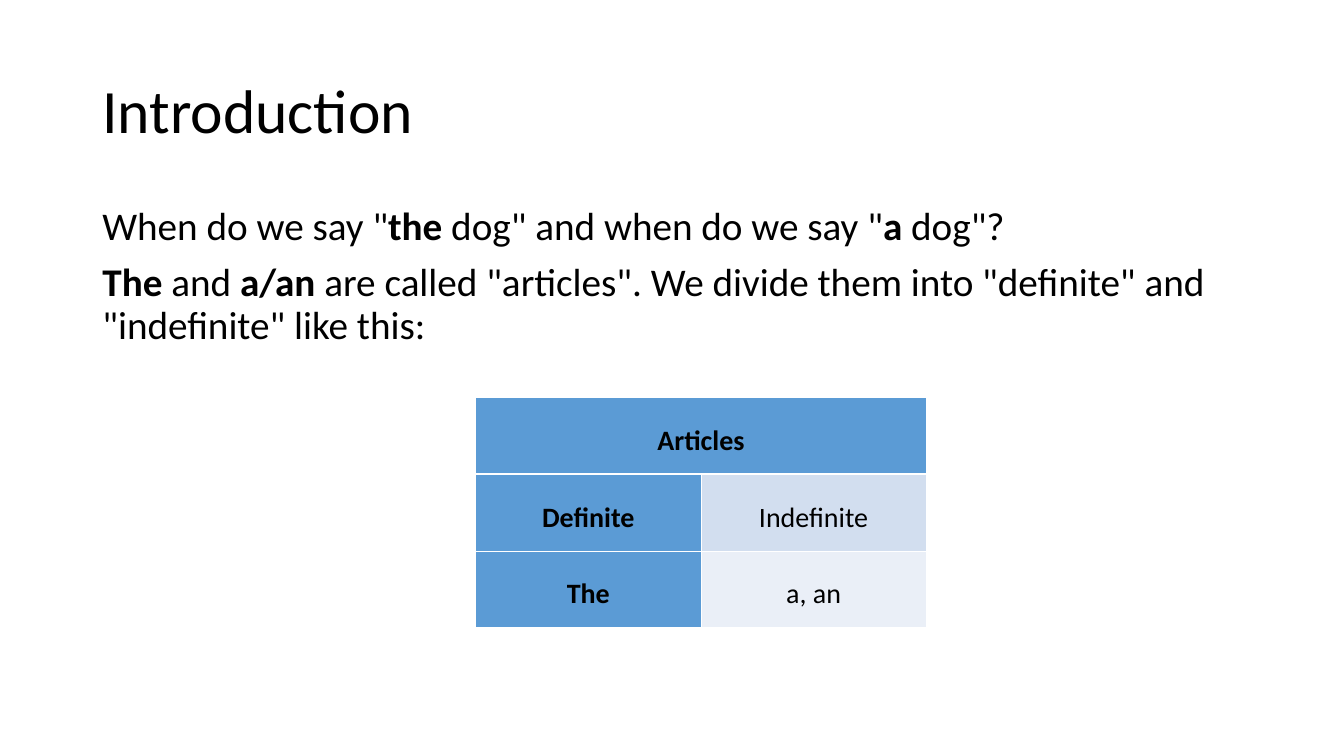
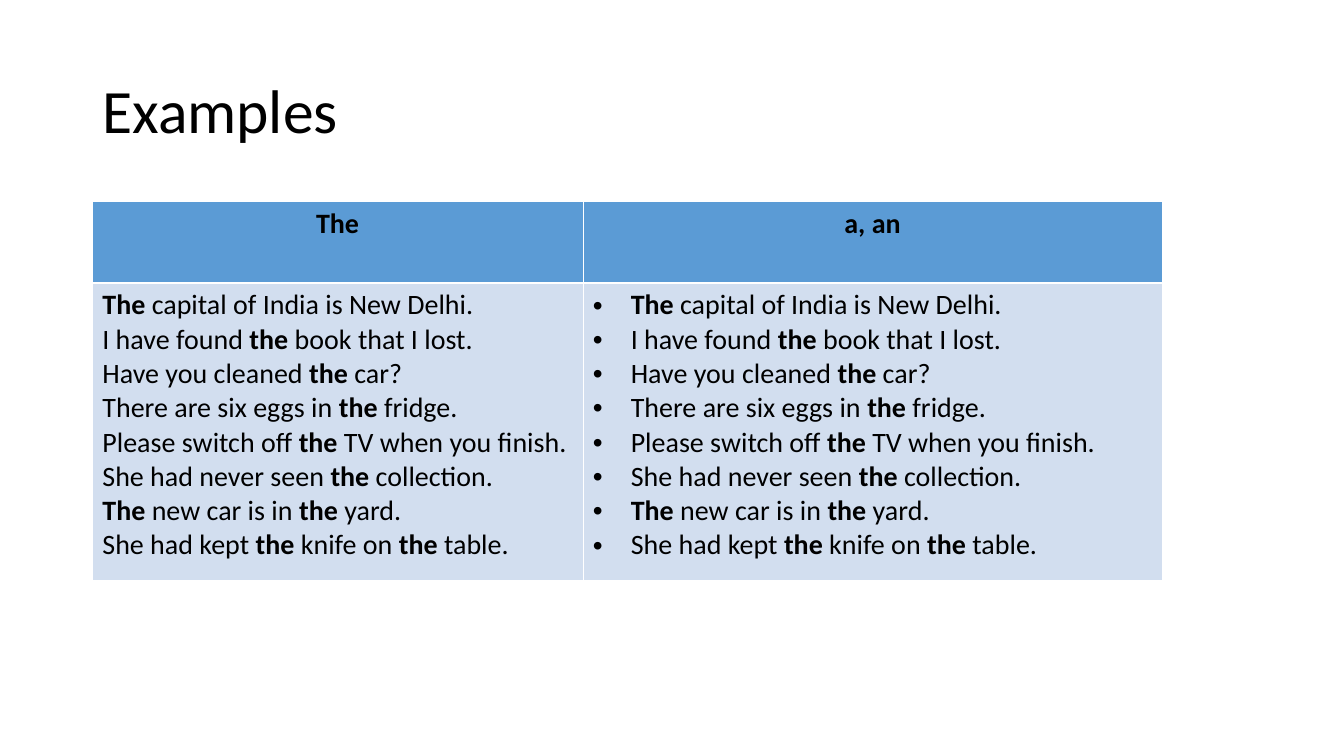
from lxml.etree import SubElement
from pptx import Presentation
from pptx.dml.color import RGBColor
from pptx.enum.text import MSO_ANCHOR as Anchor, MSO_AUTO_SIZE as AutoSize, PP_ALIGN as Align
from pptx.oxml import parse_xml
from pptx.oxml.ns import nsdecls, qn
from pptx.util import Pt

BLACK = RGBColor(0x00, 0x00, 0x00)
WHITE = RGBColor(0xFF, 0xFF, 0xFF)
HEADER_BLUE = RGBColor(0x5B, 0x9B, 0xD5)
MID_BLUE = RGBColor(0xD2, 0xDE, 0xEF)
PALE_BLUE = RGBColor(0xEA, 0xEF, 0xF7)

FONT = "Calibri"
PAGE_SIZE = (960.5, 540)
TITLE_BOX = (66, 28.8, 828, 104.4)
BODY_BOX = (66, 144, 828, 342.7)
ARTICLES_BOX = (340, 284, 322, 164.2)
EXAMPLES_BOX = (66, 144, 764.6, 270.7)
THIN, THICK = 0.45, 1.47
BULLET_INDENT = 27

SENTENCES = [
    "*The* capital of India is New Delhi.",
    "I have found *the* book that I lost.",
    "Have you cleaned *the* car?",
    "There are six eggs in *the* fridge.",
    "Please switch off *the* TV when you finish.",
    "She had never seen *the* collection.",
    "*The* new car is in *the* yard.",
    "She had kept *the* knife on *the* table.",
]


def set_bullet(para, bullet):
    props = para._p.get_or_add_pPr()
    indent = Pt(BULLET_INDENT) if bullet else 0
    props.set("marL", str(indent))
    props.set("indent", str(-indent))
    if bullet:
        color = SubElement(SubElement(props, qn("a:buClr")), qn("a:srgbClr"))
        color.set("val", str(BLACK))
        SubElement(props, qn("a:buFont")).set("typeface", "Arial")
        SubElement(props, qn("a:buChar")).set("char", bullet)
    else:
        SubElement(props, qn("a:buNone"))


def write_text(frame, lines, size=20, align=Align.LEFT, spacing=1.0, gap=0, bullet=None):
    """Write lines into a frame; asterisks enclose bold words."""
    frame.word_wrap = True
    for index, line in enumerate(lines):
        para = frame.add_paragraph() if index else frame.paragraphs[0]
        set_bullet(para, bullet)
        para.alignment = align
        para.line_spacing = spacing
        para.space_before = Pt(gap if index else 0)
        for order, words in enumerate(line.split("*")):
            if words:
                span = para.add_run()
                span.text = words
                span.font.name = FONT
                span.font.size = Pt(size)
                span.font.bold = order % 2 == 1
                span.font.color.rgb = BLACK


def fill_placeholder(holder, box, lines, anchor, **style):
    holder.left, holder.top, holder.width, holder.height = map(Pt, box)
    frame = holder.text_frame
    frame.auto_size = AutoSize.NONE
    frame.vertical_anchor = anchor
    write_text(frame, lines, spacing=0.9, **style)


def add_page(deck, layout_name, title):
    page = deck.slides.add_slide(deck.slide_layouts.get_by_name(layout_name))
    fill_placeholder(page.shapes.title, TITLE_BOX, [title], Anchor.MIDDLE, size=44)
    return page


def set_borders(cell, top, bottom):
    props = cell._tc.get_or_add_tcPr()
    sides = {"L": THIN, "R": THIN, "T": top, "B": bottom}
    for position, (side, width) in enumerate(sides.items()):
        props.insert(position, parse_xml(
            f'<a:ln{side} {nsdecls("a")} w="{Pt(width)}"><a:solidFill>'
            f'<a:srgbClr val="{WHITE}"/></a:solidFill></a:ln{side}>'))


def add_grid(page, box, columns, rows):
    left, top, width, height = map(Pt, box)
    grid = page.shapes.add_table(len(rows), len(columns), left, top, width, height).table
    grid.first_row = grid.horz_banding = False
    for column, size in zip(grid.columns, columns):
        column.width = Pt(size)
    for row, size in zip(grid.rows, rows):
        row.height = Pt(size)
    return grid


def format_cell(grid, row, column, lines, fill, margin_x, anchor, **style):
    cell = grid.cell(row, column)
    cell.fill.solid()
    cell.fill.fore_color.rgb = fill
    set_borders(cell, THICK if row == 1 else THIN, THICK if row == 0 else THIN)
    cell.margin_left = cell.margin_right = Pt(margin_x)
    cell.margin_top = cell.margin_bottom = Pt(3.6)
    cell.vertical_anchor = anchor
    write_text(cell.text_frame, lines, **style)


def add_articles_table(page, box):
    width, height = box[2:]
    grid = add_grid(page, box, [width / 2] * 2, [height / 3] * 3)
    grid.cell(0, 0).merge(grid.cell(0, 1))
    cells = [
        (0, 0, "*Articles*", HEADER_BLUE),
        (1, 0, "*Definite*", HEADER_BLUE),
        (1, 1, "Indefinite", MID_BLUE),
        (2, 0, "*The*", HEADER_BLUE),
        (2, 1, "a, an", PALE_BLUE),
    ]
    for row, column, words, fill in cells:
        format_cell(grid, row, column, [words], fill, 3.6, Anchor.MIDDLE,
                    align=Align.CENTER, spacing=1.3)


def add_examples_table(page, box):
    width, height = box[2:]
    first_width, header_height = 350.6, 58.3
    grid = add_grid(page, box, [first_width, width - first_width],
                    [header_height, height - header_height])
    for column, (heading, bullet) in enumerate([("*The*", None), ("*a, an*", "•")]):
        format_cell(grid, 0, column, [heading], HEADER_BLUE, 7.2, Anchor.TOP,
                    align=Align.CENTER)
        format_cell(grid, 1, column, SENTENCES, MID_BLUE, 7.2, Anchor.TOP, bullet=bullet)


def build_introduction(deck):
    page = add_page(deck, "Title and Content", "Introduction")
    fill_placeholder(page.placeholders[1], BODY_BOX, [
        'When do we say "*the* dog" and when do we say "*a* dog"?',
        '*The* and *a/an* are called "articles". We divide them into '
        '"definite" and "indefinite" like this:',
    ], Anchor.TOP, size=28, gap=10)
    add_articles_table(page, ARTICLES_BOX)


def build_examples(deck):
    page = add_page(deck, "Title Only", "Examples")
    add_examples_table(page, EXAMPLES_BOX)


def main():
    deck = Presentation()
    deck.slide_width, deck.slide_height = map(Pt, PAGE_SIZE)
    build_introduction(deck)
    build_examples(deck)
    deck.save("out.pptx")


if __name__ == "__main__":
    main()
